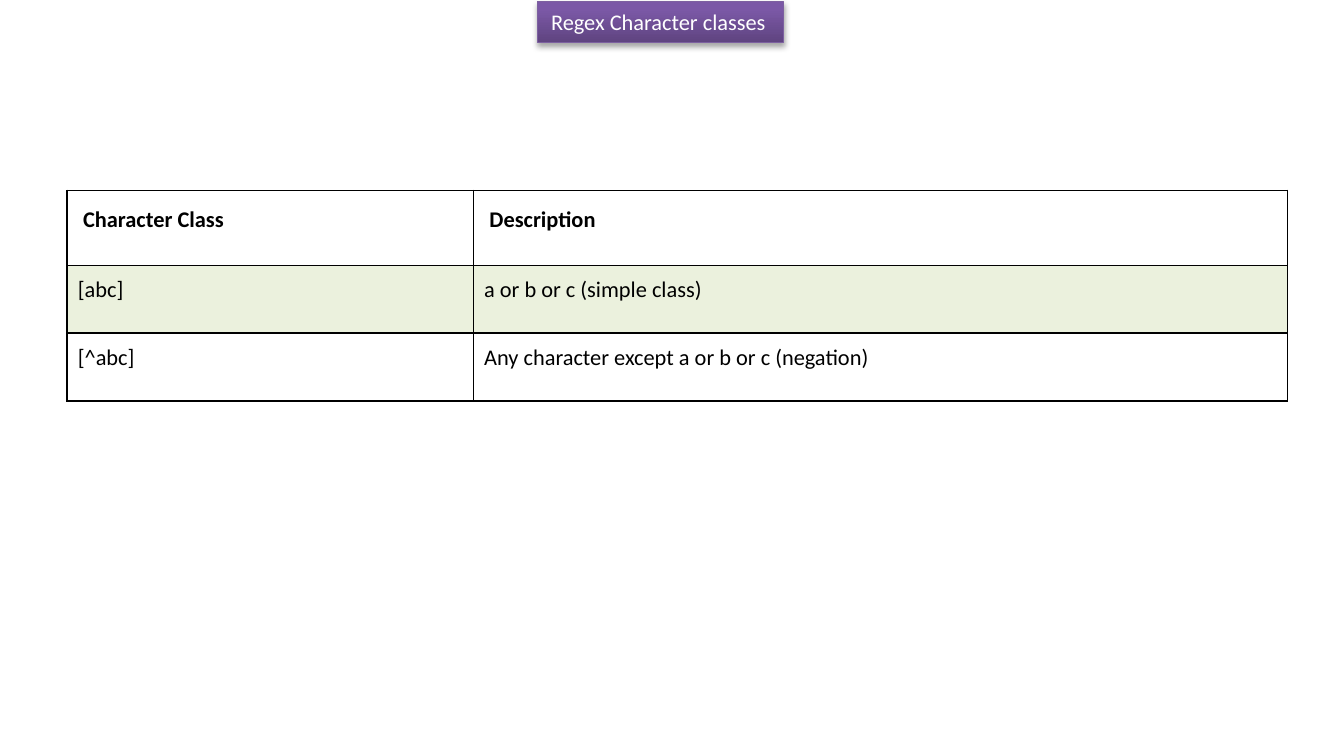
from lxml import etree
from pptx import Presentation
from pptx.dml.color import RGBColor
from pptx.enum.text import MSO_ANCHOR, PP_ALIGN
from pptx.oxml import parse_xml
from pptx.oxml.ns import nsdecls, qn
from pptx.util import Cm, Pt

TOP, MIDDLE = MSO_ANCHOR.TOP, MSO_ANCHOR.MIDDLE
LEFT, JUSTIFY = PP_ALIGN.LEFT, PP_ALIGN.JUSTIFY
TITLE_ONLY = 5
COLORS = {
    "text": "000000", "title": "FFFFFF", "outline": "7D60A0",
    "dark": "5F4480", "middle": "7B58A6", "light": "7C57A8",
    "band": "9BBB59", "border": "000000", "shadow": "000000",
}
ROWS = [
    ("Character Class", "Description"),
    ("[abc]", "a or b or c (simple class)"),
    ("[^abc]", "Any character except a or b or c (negation)"),
]


def format_text(frame, color, align, bold=False):
    paragraph = frame.paragraphs[0]
    paragraph.alignment = align
    font = paragraph.runs[0].font
    font.name, font.size, font.bold = "Calibri", Pt(12), bold
    font.color.rgb = RGBColor.from_string(COLORS[color])


def add_borders(cell):
    properties = cell._tc.get_or_add_tcPr()
    for index, side in enumerate(("lnL", "lnR", "lnT", "lnB")):
        properties.insert(index, parse_xml(
            f'<a:{side} {nsdecls("a")} w="12700"><a:solidFill>'
            f'<a:srgbClr val="{COLORS["border"]}"/></a:solidFill></a:{side}>'))


deck = Presentation()
deck.slide_width, deck.slide_height = Cm(25.4), Cm(13.97)
page = deck.slides.add_slide(deck.slide_layouts[TITLE_ONLY])

# Title banner
title = page.shapes.title
title.left, title.top, title.width, title.height = Cm(10.16), Cm(0.03), Cm(4.65), Cm(0.77)
frame = title.text_frame
frame.text = "Regex Character classes"
frame.word_wrap = True
frame.vertical_anchor = MIDDLE
format_text(frame, "title", LEFT)

# Banner gradient, outline and shadow
stops = "".join(
    f'<a:gs pos="{position * 1000}"><a:srgbClr val="{COLORS[name]}"/></a:gs>'
    for position, name in ((0, "dark"), (80, "middle"), (100, "light")))
banner = title._element.spPr
banner.append(parse_xml(f'<a:prstGeom {nsdecls("a")} prst="rect"><a:avLst/></a:prstGeom>'))
banner.append(parse_xml(
    f'<a:gradFill {nsdecls("a")} rotWithShape="1"><a:gsLst>{stops}</a:gsLst>'
    '<a:lin ang="16200000" scaled="0"/></a:gradFill>'))
title.line.color.rgb = RGBColor.from_string(COLORS["outline"])
title.line.width = Pt(0.75)
banner.append(parse_xml(
    f'<a:effectLst {nsdecls("a")}><a:outerShdw blurRad="40000" dist="23000" dir="5400000" '
    f'rotWithShape="0"><a:srgbClr val="{COLORS["shadow"]}"><a:alpha val="35000"/>'
    '</a:srgbClr></a:outerShdw></a:effectLst>'))

# Character class table
table = page.shapes.add_table(3, 2, Cm(1.27), Cm(3.6), Cm(23.06), Cm(3.98)).table
table.first_row = table.horz_banding = False
for column, width in zip(table.columns, (7.68, 15.38)):
    column.width = Cm(width)
for row, height in zip(table.rows, (1.42, 1.28, 1.28)):
    row.height = Cm(height)

for row_index, texts in enumerate(ROWS):
    is_header = row_index == 0
    for column_index, text in enumerate(texts):
        cell = table.cell(row_index, column_index)
        cell.text_frame.text = text
        cell.vertical_anchor = TOP
        inset = Cm(0.3 if is_header else 0.2)
        cell.margin_left = cell.margin_right = cell.margin_top = cell.margin_bottom = inset
        format_text(cell.text_frame, "text", LEFT if is_header else JUSTIFY, is_header)
        if row_index == 1:
            cell.fill.solid()
            cell.fill.fore_color.rgb = RGBColor.from_string(COLORS["band"])
            color = cell._tc.tcPr.find(".//" + qn("a:srgbClr"))
            etree.SubElement(color, qn("a:alpha"), val="20000")
        else:
            cell.fill.background()
        add_borders(cell)

deck.save("out.pptx")
